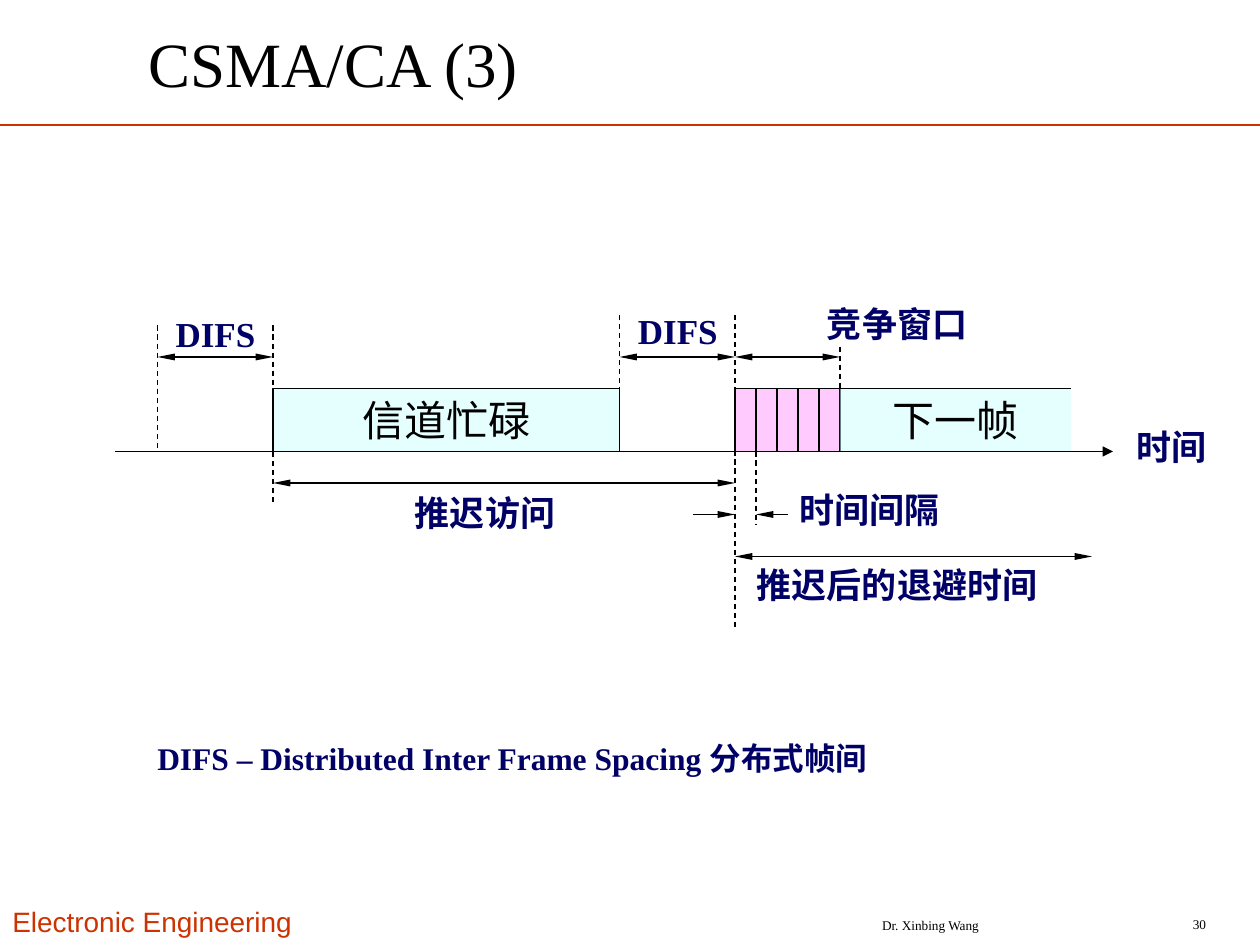
from lxml import etree
from pptx import Presentation, util as u
from pptx.dml.color import RGBColor
from pptx.enum import dml, shapes, text
from pptx.oxml.ns import qn

BLACK = RGBColor(0x00, 0x00, 0x00)
NAVY = RGBColor(0x00, 0x00, 0x66)
RED = RGBColor(0xCC, 0x33, 0x00)
AQUA = RGBColor(0xCC, 0xFF, 0xFF)
PINK = RGBColor(0xFF, 0x99, 0xFF)

UNIT = 1 / 12  # the timing chart sits on a grid of 12 units to the inch
LEFT, MID, RIGHT = (text.PP_ALIGN.LEFT, text.PP_ALIGN.CENTER,
                    text.PP_ALIGN.RIGHT)
SERIF = {"name": "Times New Roman", "size": u.Pt(20), "bold": False}
LABEL = {**SERIF, "bold": True}

# Grid columns and rows of the timing chart
START, BUSY, IDLE, WIN, NEXT, STOP = 15, 26, 59, 70, 80, 102
TOP, SPAN, BASE = 37, 34, 43
SLOTS = 5
SLOT = (NEXT - WIN) / SLOTS


def grid(n):
    return u.Inches(n * UNIT)


def write(frame, words, font, color, align=LEFT, anchor=text.MSO_ANCHOR.TOP):
    frame.word_wrap = True
    frame.vertical_anchor = anchor
    para = frame.paragraphs[0]
    para.alignment = align
    run = para.add_run()
    run.text = words
    for key, val in font.items():
        setattr(run.font, key, val)
    run.font.color.rgb = color


def label(slide, box, words, font=LABEL, color=NAVY, **place):
    """Text box; box is left, top, width, height in inches."""
    shape = slide.shapes.add_textbox(*map(u.Inches, box))
    write(shape.text_frame, words, font, color, **place)


def line(slide, x1, y1, x2, y2, color=BLACK, width=0.75, dash=False,
         ends=(), slim=True):
    """Line between grid points; ends names the ends with arrowheads."""
    link = slide.shapes.add_connector(
        shapes.MSO_CONNECTOR.STRAIGHT, *map(grid, (x1, y1, x2, y2)))
    link.line.color.rgb = color
    link.line.width = u.Pt(width)
    if dash:
        link.line.dash_style = dml.MSO_LINE.DASH
    props = link._element.spPr
    ln = props.find(qn("a:ln"))
    for end in ends:
        tip = etree.SubElement(ln, qn(f"a:{end}End"), type="triangle")
        tip.set("w", "sm" if slim else "med")
        tip.set("len", "lg" if slim else "med")
    etree.SubElement(props, qn("a:effectLst"))


def block(slide, x1, x2, color, words=None, edge=True):
    """Half-clear frame on the time axis, between two grid columns."""
    shape = slide.shapes.add_shape(
        shapes.MSO_SHAPE.RECTANGLE, grid(x1), grid(TOP),
        grid(x2 - x1), grid(BASE - TOP))
    shape.shadow.inherit = False
    shape.fill.solid()
    shape.fill.fore_color.rgb = color
    tint = shape._element.spPr.find(".//" + qn("a:srgbClr"))
    etree.SubElement(tint, qn("a:alpha"), val="50000")
    if edge:
        shape.line.color.rgb = BLACK
        shape.line.width = u.Pt(0.75)
    else:
        shape.line.fill.background()
    if words:
        write(shape.text_frame, words, {**SERIF, "size": u.Pt(24)},
              BLACK, MID)


def frame(slide):
    # Title, rule and footer
    centre = text.MSO_ANCHOR.MIDDLE
    label(slide, (1.08, 0.15, 6.63, 0.69), "CSMA/CA (3)",
          {**SERIF, "size": u.Pt(36)}, BLACK, anchor=centre)
    line(slide, 0, 11.9, 120, 11.9, RED, 1.5)
    label(slide, (0, 7.13, 2.55, 0.37), "Electronic Engineering",
          {"name": "Arial", "size": u.Pt(16)}, RED)
    small = {**SERIF, "size": u.Pt(7.6)}
    label(slide, (6.17, 7.22, 2.43, 0.25), "Dr. Xinbing Wang", small, BLACK,
          align=MID, anchor=centre)
    label(slide, (8.84, 7.21, 0.83, 0.25), "30", small, BLACK,
          align=RIGHT, anchor=centre)


def chart(slide):
    # Dashed guides: column, top, bottom
    for x, y1, y2 in ((START, 31, BASE), (BUSY, 31, 48), (IDLE, 30, 41),
                      (WIN, 30, 60), (NEXT, 33, 38),
                      (WIN + SLOT, BASE, 50)):
        line(slide, x, y1, x, y2, dash=True)

    # Frames and contention slots
    for i in range(SLOTS):
        left = WIN + i * SLOT
        block(slide, left, left + SLOT, PINK)
    block(slide, NEXT, STOP, AQUA, "下一帧", edge=False)
    line(slide, NEXT, TOP, STOP, TOP)
    block(slide, BUSY, IDLE, AQUA, "信道忙碌")

    # Time axis
    line(slide, 11, BASE, 106, BASE, ends=("tail",), slim=False)

    # Spans with two heads: left, right, row
    for x1, x2, y in ((START, BUSY, SPAN), (IDLE, WIN, SPAN),
                      (WIN, NEXT, SPAN), (BUSY, WIN, 46), (WIN, 104, 53)):
        line(slide, x1, y, x2, y, ends=("head", "tail"))

    # Inward arrows around one slot
    for x1, x2 in ((66, WIN), (75, WIN + SLOT)):
        line(slide, x1, 49, x2, 49, ends=("tail",))


def names(slide):
    # Labels: left, top, width, words, alignment
    for x, y, w, words, align in (
            (1.25, 2.43, 0.92, "DIFS", MID),
            (4.92, 2.41, 0.92, "DIFS", MID),
            (5.83, 2.35, 2.58, "竞争窗口", MID),
            (2.56, 3.85, 2.58, "推迟访问", MID),
            (5.83, 4.42, 2.58, "推迟后的退避时间", MID),
            (6.25, 3.83, 1.46, "时间间隔", LEFT),
            (8.92, 3.33, 0.83, "时间", LEFT)):
        label(slide, (x, y, w, 0.44), words, align=align)
    label(slide, (1.15, 5.82, 6.56, 0.4),
          "DIFS – Distributed Inter Frame Spacing 分布式帧间",
          {**LABEL, "size": u.Pt(18)})


def main():
    deck = Presentation()
    deck.slide_width, deck.slide_height = u.Inches(10), u.Inches(7.5)
    slide = deck.slides.add_slide(deck.slide_layouts[6])
    frame(slide)
    chart(slide)
    names(slide)
    deck.save("out.pptx")


if __name__ == "__main__":
    main()
